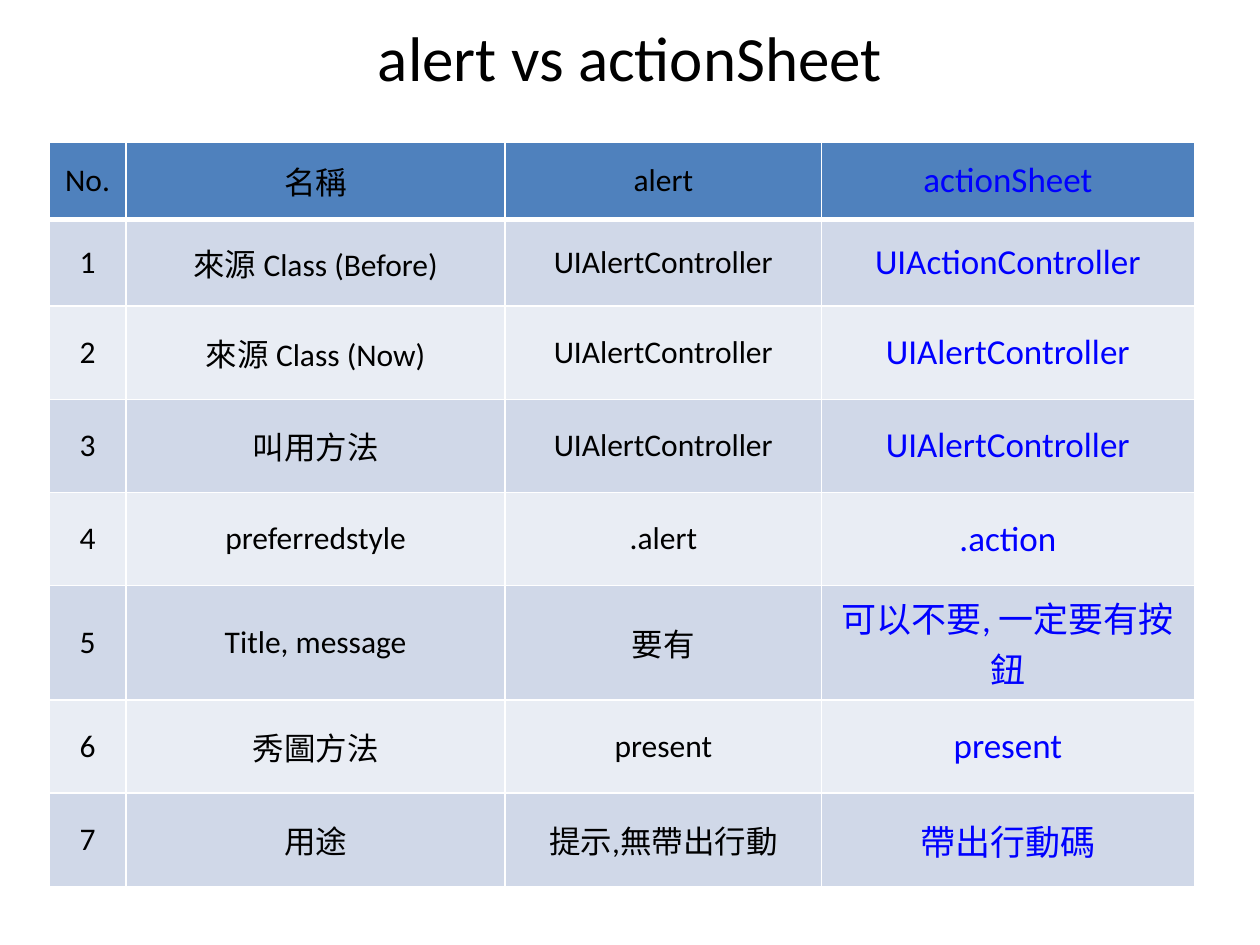
from typing import NamedTuple

import pptx
import pptx.dml.color
import pptx.enum.text
import pptx.oxml
import pptx.oxml.ns
import pptx.util
from pptx.util import Inches

COLORS = {
    "text": "000000",
    "accent": "0000FF",
    "header": "4F81BD",
    "odd": "D0D8E8",
    "even": "E9EDF4",
    "border": "FFFFFF",
}
FONT = "Calibri"


class Column(NamedTuple):
    heading: str
    width: float
    size: int = 18
    color: str = "text"


COLUMNS = [
    Column("No.", 0.61),
    Column("名稱", 3.01),
    Column("alert", 2.51),
    Column("actionSheet", 2.96, 20, "accent"),
]
COMPARISONS = [
    ("來源 Class (Before)", "UIAlertController", "UIActionController"),
    ("來源 Class (Now)", "UIAlertController", "UIAlertController"),
    ("叫用方法", "UIAlertController", "UIAlertController"),
    ("preferredstyle", ".alert", ".action"),
    ("Title, message", "要有", "可以不要, 一定要有按鈕"),
    ("秀圖方法", "present", "present"),
    ("用途", "提示,無帶出行動", "帶出行動碼"),
]
ROW_HEIGHTS = [0.61, 0.69] + [0.74] * 6


def rgb(name: str) -> pptx.dml.color.RGBColor:
    return pptx.dml.color.RGBColor.from_string(COLORS[name])


def format_paragraph(para, size: int, color: str) -> None:
    para.alignment = pptx.enum.text.PP_ALIGN.CENTER
    para.font.name = FONT
    para.font.size = pptx.util.Pt(size)
    para.font.bold = False
    para.font.color.rgb = rgb(color)


def set_borders(cell, bottom: int, top: int) -> None:
    """Draw all four sides; bottom and top are widths in points."""
    properties = cell._tc.get_or_add_tcPr()
    sides = [("lnL", 1), ("lnR", 1), ("lnT", top), ("lnB", bottom)]
    for index, (side, width) in enumerate(sides):
        line = pptx.oxml.parse_xml(
            f'<a:{side} {pptx.oxml.ns.nsdecls("a")} w="{pptx.util.Pt(width)}">'
            f'<a:solidFill><a:srgbClr val="{COLORS["border"]}"/></a:solidFill>'
            f"</a:{side}>"
        )
        properties.insert(index, line)


def fill_cell(cell, text: str, column: Column, row: int) -> None:
    cell.text = text
    cell.vertical_anchor = pptx.enum.text.MSO_ANCHOR.MIDDLE
    format_paragraph(cell.text_frame.paragraphs[0], column.size, column.color)
    cell.fill.solid()
    background = "header" if row == 0 else "odd" if row % 2 else "even"
    cell.fill.fore_color.rgb = rgb(background)
    set_borders(cell, bottom=3 if row == 0 else 1, top=3 if row == 1 else 1)


def add_title(page, text: str) -> None:
    title = page.shapes.title
    title.left, title.top = Inches(0), Inches(-0.01)
    title.width, title.height = Inches(10), Inches(0.91)
    title.text_frame.text = text
    title.text_frame.vertical_anchor = pptx.enum.text.MSO_ANCHOR.MIDDLE
    format_paragraph(title.text_frame.paragraphs[0], 36, "text")


def add_comparison_table(page) -> None:
    rows = [tuple(column.heading for column in COLUMNS)]
    rows += [(str(number), *row) for number, row in enumerate(COMPARISONS, 1)]
    table = page.shapes.add_table(
        len(rows), len(COLUMNS), Inches(0.39), Inches(1.13),
        Inches(sum(column.width for column in COLUMNS)), Inches(sum(ROW_HEIGHTS)),
    ).table
    for index, column in enumerate(COLUMNS):
        table.columns[index].width = Inches(column.width)
    for row, texts in enumerate(rows):
        table.rows[row].height = Inches(ROW_HEIGHTS[row])
        for index, (text, column) in enumerate(zip(texts, COLUMNS)):
            fill_cell(table.cell(row, index), text, column, row)


def main() -> None:
    deck = pptx.Presentation()
    deck.slide_width, deck.slide_height = Inches(10), Inches(7.5)
    page = deck.slides.add_slide(deck.slide_layouts[5])
    add_title(page, "alert vs actionSheet")
    add_comparison_table(page)
    deck.save("out.pptx")


if __name__ == "__main__":
    main()
